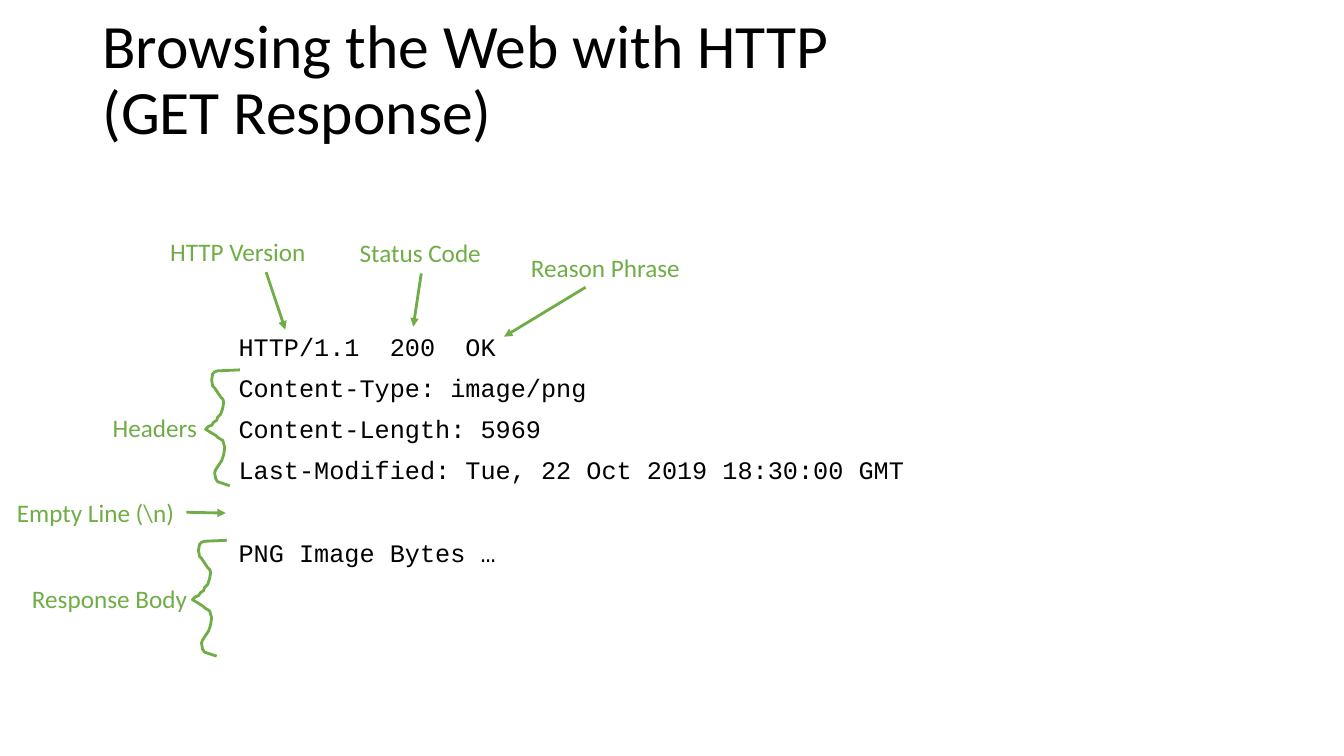
from pptx import Presentation
from pptx.dml.color import RGBColor
from pptx.enum import shapes, text
from pptx.oxml import ns, xmlchemy
from pptx.util import Pt

GREEN, BLACK = "70AD47", "000000"
TITLE = "Browsing the Web with HTTP\v(GET Response)"
REPLY = [
    "HTTP/1.1  200  OK",
    "Content-Type: image/png",
    "Content-Length: 5969",
    "Last-Modified: Tue, 22 Oct 2019 18:30:00 GMT",
]
BODY = "PNG Image Bytes …"
GAP, PITCH = 10, 29.5

LABELS = {
    "HTTP Version": (114.5, 164.9, 112.3),
    "Status Code": (249.8, 166.3, 102.2),
    "Reason Phrase": (372.2, 176.4, 121.7),
    "Headers": (73.4, 290.9, 75.6),
    "Empty Line (\\n)": (5, 351.4, 128.2),
    "Response Body": (15.8, 413.3, 126.7),
}
ARROWS = [
    ("HTTP Version", None, (190.1, 194.4), (203.8, 235.4)),
    ("Status Code", 2, (301, 195.8), (295.2, 233.3)),
    ("Reason Phrase", None, (418.3, 205.2), (360, 240.5)),
    ("Empty Line (\\n)", 3, (133.2, 366.5), (161.3, 366.5)),
]
BRACES = [(146.9, 264.2), (137.5, 385.9)]
CURVE = [
    (34, 0), (12, 1), (9, 2), (7, 4), (6, 10), (7, 16), (9, 18), (13, 24),
    (15, 27), (17, 29), (18, 32), (17, 38), (15, 44), (12, 47), (11, 50),
    (8, 52), (6, 55), (3, 56), (0, 59), (10, 65), (12, 67), (17, 70),
    (19, 77), (18, 84), (16, 90), (12, 96), (10, 99), (9, 102), (10, 108),
    (12, 111), (18, 113), (24, 115),
]


def paint(code):
    return RGBColor.from_string(code)


def write(frame, lines, size=18, font="Calibri", color=GREEN, space=None, gap=0):
    for i, line in enumerate(lines):
        para = frame.paragraphs[0] if i == 0 else frame.add_paragraph()
        para.text = line
        para.alignment = text.PP_ALIGN.LEFT
        para.space_before = Pt(gap if i else 0)
        if space:
            para.line_spacing = space
        para.font.size = Pt(size)
        para.font.name = font
        para.font.color.rgb = paint(color)


def stroke(line):
    line.color.rgb = paint(GREEN)
    line.width = Pt(2)


def place(shape, *box):
    shape.left, shape.top, shape.width, shape.height = map(Pt, box)


def main():
    deck = Presentation()
    deck.slide_width, deck.slide_height = Pt(960), Pt(540)
    slide = deck.slides.add_slide(deck.slide_layouts[5])
    parts = slide.shapes

    title = parts.title
    place(title, 66, 6, 828, 104.4)
    title.text_frame.auto_size = text.MSO_AUTO_SIZE.NONE
    title.text_frame.vertical_anchor = text.MSO_ANCHOR.MIDDLE
    write(title.text_frame, [TITLE], size=44, color=BLACK, space=0.9)

    reply = parts.add_textbox(*map(Pt, (163.4, 235.4, 501.1, 232.6))).text_frame
    reply.word_wrap = True
    write(reply, REPLY + [BODY], font="Courier New", color=BLACK, space=0.9, gap=GAP)
    reply.paragraphs[-1].space_before = Pt(GAP + PITCH)

    boxes = {}
    for name, (left, top, width) in LABELS.items():
        boxes[name] = parts.add_textbox(*map(Pt, (left, top, width, 29)))
        boxes[name].text_frame.word_wrap = False
        write(boxes[name].text_frame, [name])

    for name, side, start, end in ARROWS:
        arrow = parts.add_connector(shapes.MSO_CONNECTOR.STRAIGHT, *map(Pt, start + end))
        if side is not None:
            arrow.begin_connect(boxes[name], side)
        stroke(arrow.line)
        tail = xmlchemy.OxmlElement("a:tailEnd")
        tail.set("type", "triangle")
        arrow.line._get_or_add_ln().append(tail)
        props = arrow._element.find(ns.qn("p:spPr"))
        props.append(xmlchemy.OxmlElement("a:effectLst"))

    for left, top in BRACES:
        pen = parts.build_freeform(*CURVE[0], scale=Pt(0.72))
        pen.add_line_segments(CURVE[1:], close=False)
        brace = pen.convert_to_shape(Pt(left), Pt(top))
        brace.shadow.inherit = False
        brace.fill.background()
        stroke(brace.line)

    deck.save("out.pptx")


if __name__ == "__main__":
    main()
